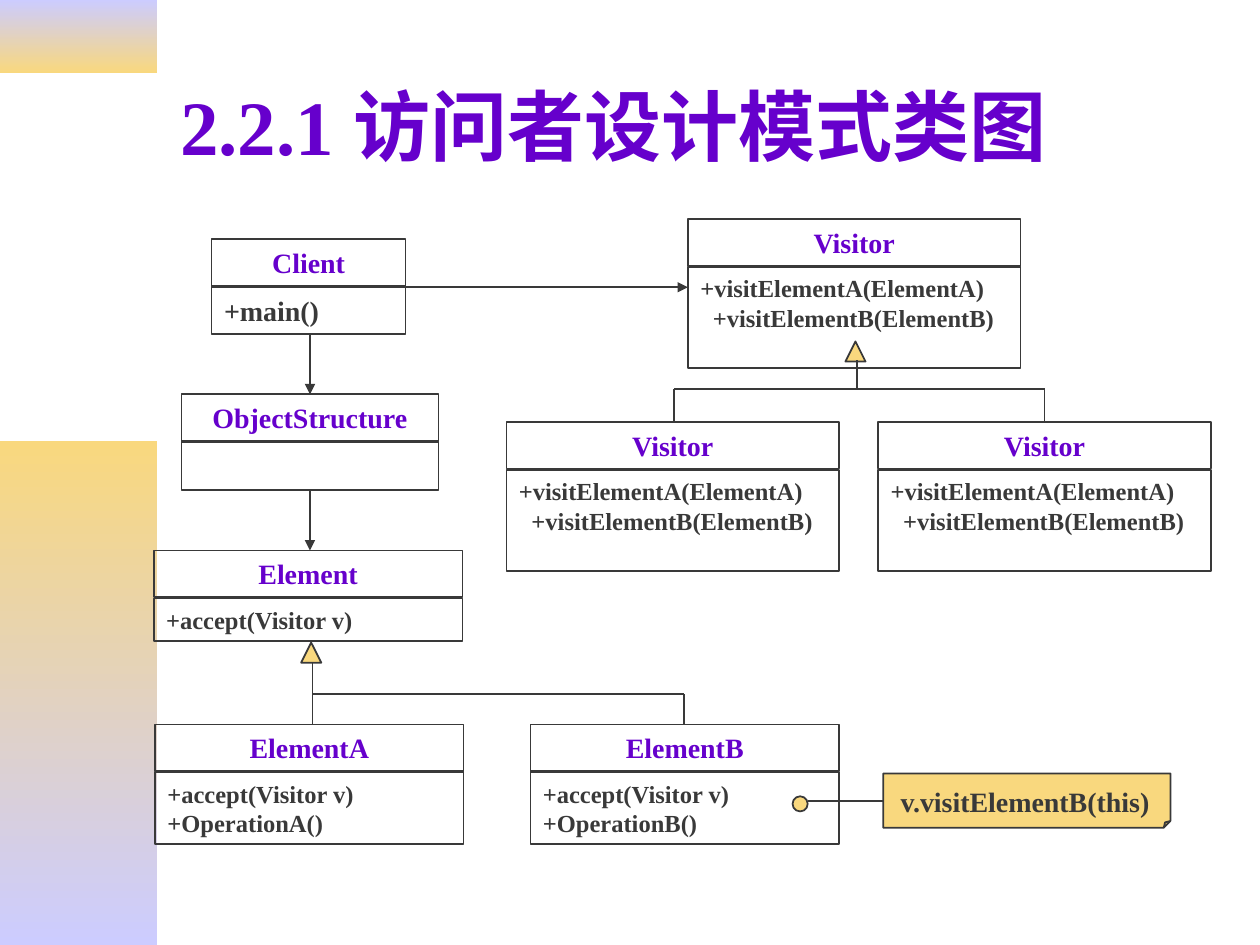
from lxml import etree
from pptx import Presentation
from pptx.dml.color import RGBColor
from pptx.enum.shapes import MSO_CONNECTOR, MSO_SHAPE
from pptx.enum.text import MSO_ANCHOR, PP_ALIGN
from pptx.oxml.ns import qn
from pptx.util import Inches, Pt

RECTANGLE = MSO_SHAPE.RECTANGLE
FOLDED_CORNER = MSO_SHAPE.FOLDED_CORNER
OVAL = MSO_SHAPE.OVAL
TRIANGLE = MSO_SHAPE.FLOWCHART_EXTRACT
STRAIGHT = MSO_CONNECTOR.STRAIGHT
LEFT, CENTER = PP_ALIGN.LEFT, PP_ALIGN.CENTER
TOP, MIDDLE = MSO_ANCHOR.TOP, MSO_ANCHOR.MIDDLE

PURPLE, GRAY, GOLD, LAVENDER = "6600CC", "393939", "F9D87E", "CCCCFF"
HEADER_HEIGHT = 0.37
BODY_OFFSET = 0.38

# Text formats
FORMATS = {
    "title": {"size": Pt(44), "color": PURPLE, "align": LEFT, "anchor": MIDDLE},
    "name": {"size": Pt(16), "color": PURPLE, "align": CENTER, "anchor": TOP},
    "main": {"size": Pt(16), "color": GRAY, "align": LEFT, "anchor": TOP},
    "method": {"size": Pt(14), "color": GRAY, "align": LEFT, "anchor": TOP},
}


def write_text(shape, lines, style, second_indent=0):
    style = FORMATS[style]
    frame = shape.text_frame
    frame.word_wrap = True
    frame.vertical_anchor = style["anchor"]
    frame.text = "\n".join(lines)
    for index, paragraph in enumerate(frame.paragraphs):
        paragraph.alignment = style["align"]
        if index and second_indent:
            paragraph._p.get_or_add_pPr().set("marL", str(Inches(second_indent)))
        font_values = {"name": "Times New Roman", "size": style["size"], "bold": True}
        for run in paragraph.runs:
            for attribute, value in font_values.items():
                setattr(run.font, attribute, value)
            run.font.color.rgb = RGBColor.from_string(style["color"])


def add_box(kind, left, top, width, height, fill=None):
    shape = slide.shapes.add_shape(
        kind, Inches(left), Inches(top), Inches(width), Inches(height))
    shape.shadow.inherit = False
    if fill:
        shape.fill.solid()
        shape.fill.fore_color.rgb = RGBColor.from_string(fill)
    else:
        shape.fill.background()
    shape.line.color.rgb = RGBColor.from_string(GRAY)
    shape.line.width = Pt(1)
    return shape


presentation = Presentation()
presentation.slide_width = Inches(10)
presentation.slide_height = Inches(7.5)
slide = presentation.slides.add_slide(presentation.slide_layouts[5])

# Gradient bands on the left edge
for top, height, colors in [(0, 0.58, (LAVENDER, GOLD)), (3.5, 4, (GOLD, LAVENDER))]:
    band = add_box(RECTANGLE, 0, top, 1.25, height)
    band.line.fill.background()
    band.fill.gradient()
    band.fill.gradient_angle = 270
    for stop, position, color in zip(band.fill.gradient_stops, (0, 1), colors):
        stop.position = position
        stop.color.rgb = RGBColor.from_string(color)

# Title
title = slide.shapes.title
title.left, title.top = Inches(1.33), Inches(0.33)
title.width, title.height = Inches(8.5), Inches(1.32)
write_text(title, ["2.2.1 访问者设计模式类图"], "title")

# Classes: name, left, top, width, body height, methods, style, second line indent
visit_methods = ["+visitElementA(ElementA)", "+visitElementB(ElementB)"]
accept_method = "+accept(Visitor v)"
classes = [
    ("Client", 1.68, 1.9, 1.54, 0.37, ["+main()"], "main", 0),
    ("ObjectStructure", 1.44, 3.13, 2.04, 0.38, [], "method", 0),
    ("Element", 1.22, 4.37, 2.45, 0.34, [accept_method], "method", 0),
    ("ElementA", 1.23, 5.75, 2.45, 0.57, [accept_method, "+OperationA()"], "method", 0),
    ("ElementB", 4.21, 5.75, 2.45, 0.57, [accept_method, "+OperationB()"], "method", 0),
    ("Visitor", 5.46, 1.74, 2.64, 0.8, visit_methods, "method", 0.1),
    ("Visitor", 4.02, 3.35, 2.64, 0.8, visit_methods, "method", 0.1),
    ("Visitor", 6.97, 3.35, 2.64, 0.8, visit_methods, "method", 0.1),
]
for name, left, top, width, body_height, methods, style, indent in classes:
    body = add_box(RECTANGLE, left, top + BODY_OFFSET, width, body_height)
    if methods:
        write_text(body, methods, style, indent)
    header = add_box(RECTANGLE, left, top, width, HEADER_HEIGHT)
    write_text(header, [name], "name")

# Note with its anchor dot
note = add_box(FOLDED_CORNER, 7.01, 6.14, 2.28, 0.43, GOLD)
adjustment_list = note._element.spPr.find(qn("a:prstGeom")).find(qn("a:avLst"))
etree.SubElement(adjustment_list, qn("a:gd"), name="adj", fmla="val 12500")
note_text = slide.shapes.add_textbox(
    Inches(7.05), Inches(6.18), Inches(2.4), Inches(0.37))
write_text(note_text, ["v.visitElementB(this)"], "main")
add_box(OVAL, 6.29, 6.32, 0.12, 0.12, GOLD)

# Inheritance triangles
for left, top in [(6.71, 2.71), (2.39, 5.1)]:
    add_box(TRIANGLE, left, top, 0.16, 0.16, GOLD)

# Lines: start x, start y, end x, end y, arrowhead
lines = [
    # Visitor inheritance
    (5.35, 3.09, 5.35, 3.35, False),
    (8.29, 3.09, 8.29, 3.35, False),
    (5.35, 3.09, 8.29, 3.09, False),
    (6.8, 2.86, 6.8, 3.09, False),
    # Element inheritance
    (2.48, 5.51, 2.48, 5.75, False),
    (5.43, 5.51, 5.43, 5.75, False),
    (2.48, 5.51, 5.43, 5.51, False),
    (2.48, 5.26, 2.48, 5.51, False),
    # Note link
    (6.41, 6.36, 7.01, 6.36, False),
    # Associations
    (2.46, 2.66, 2.46, 3.13, True),
    (3.22, 2.28, 5.46, 2.28, True),
    (2.46, 3.9, 2.46, 4.37, True),
]
for start_x, start_y, end_x, end_y, arrow in lines:
    connector = slide.shapes.add_connector(
        STRAIGHT, Inches(start_x), Inches(start_y), Inches(end_x), Inches(end_y))
    connector.line.color.rgb = RGBColor.from_string(GRAY)
    connector.line.width = Pt(1)
    if arrow:
        etree.SubElement(connector.line._get_or_add_ln(), qn("a:tailEnd"), type="triangle")
    etree.SubElement(connector._element.spPr, qn("a:effectLst"))

presentation.save("out.pptx")
